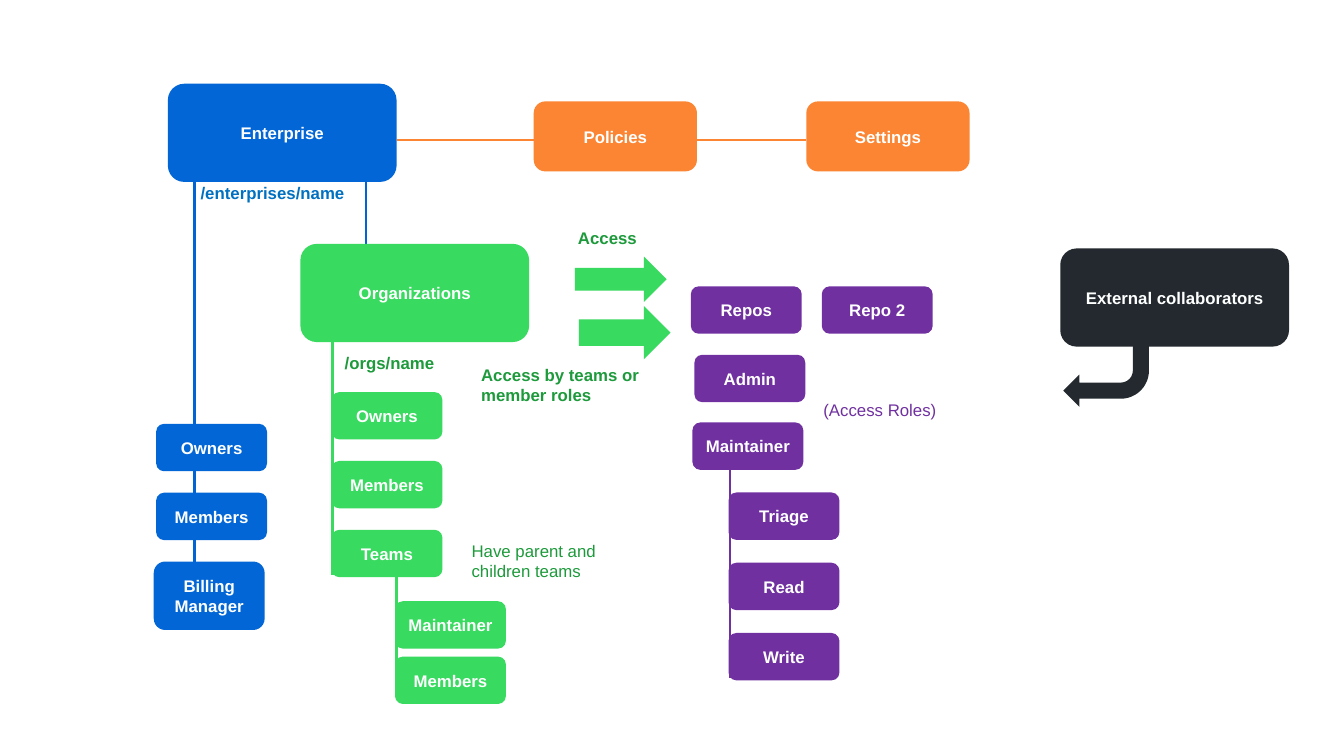
import dataclasses

import lxml.etree
import pptx
import pptx.dml.color
import pptx.enum.shapes
import pptx.enum.text
import pptx.oxml.ns
import pptx.util

Cm = pptx.util.Cm
Shapes = pptx.enum.shapes.MSO_SHAPE


@dataclasses.dataclass(frozen=True)
class Theme:
    """Colours, type and standard node sizes in centimetres."""
    white: str = "FEFFFF"
    blue: str = "0366D6"
    blue_line: str = "0064D4"
    blue_text: str = "0070C0"
    green: str = "38DA5F"
    green_text: str = "1D9A3B"
    orange: str = "FB8532"
    purple: str = "7030A0"
    dark: str = "23292E"
    font: str = "Arial"
    text_size: float = 24
    line_width: float = 3.75
    large: tuple = (11.53, 4.95)
    medium: tuple = (8.23, 3.53)
    small: tuple = (5.59, 2.39)
    tall: tuple = (5.59, 3.45)


@dataclasses.dataclass(frozen=True)
class Box:
    """A rectangle in centimetres."""
    left: float
    top: float
    width: float
    height: float

    def inner(self, x, y, size):
        """Return a box of the given size, offset from this one."""
        return Box(self.left + x, self.top + y, *size)

    def lengths(self):
        """Return left, top, width and height as slide lengths."""
        return [Cm(value) for value in dataclasses.astuple(self)]


THEME = Theme()


def rgb(colour):
    """Turn a hex string into a colour."""
    return pptx.dml.color.RGBColor.from_string(colour)


def write(shape, text, colour, bold=True):
    """Put one styled run into a shape and return its paragraph."""
    shape.text_frame.word_wrap = True
    para = shape.text_frame.paragraphs[0]
    span = para.add_run()
    span.text = text
    span.font.name = THEME.font
    span.font.size = pptx.util.Pt(THEME.text_size)
    span.font.bold = bold
    span.font.color.rgb = rgb(colour)
    return para


def add_solid(page, kind, box, colour):
    """Add a flat filled shape."""
    shape = page.shapes.add_shape(kind, *box.lengths())
    shape.shadow.inherit = False
    shape.fill.solid()
    shape.fill.fore_color.rgb = rgb(colour)
    shape.line.fill.background()
    return shape


def add_node(page, box, text, colour):
    """Add a rounded box with a centred name."""
    node = add_solid(page, Shapes.ROUNDED_RECTANGLE, box, colour)
    node.text_frame.vertical_anchor = pptx.enum.text.MSO_ANCHOR.MIDDLE
    para = write(node, text, THEME.white)
    para.alignment = pptx.enum.text.PP_ALIGN.CENTER


def add_column(page, box, x, y, step, names, colour):
    """Add small nodes one below the other at an even step."""
    for row, name in enumerate(names):
        add_node(page, box.inner(x, y + row * step, THEME.small), name, colour)


def add_label(page, box, text, colour, bold=True):
    """Add free text."""
    label = page.shapes.add_textbox(*box.lengths())
    write(label, text, colour, bold)
    label.text_frame.auto_size = pptx.enum.text.MSO_AUTO_SIZE.SHAPE_TO_FIT_TEXT


def add_line(page, box, start, end, colour):
    """Add a straight line between two points inside a box."""
    points = [Cm(value) for x, y in (start, end) for value in (box.left + x, box.top + y)]
    line = page.shapes.add_connector(pptx.enum.shapes.MSO_CONNECTOR.STRAIGHT, *points)
    line.line.color.rgb = rgb(colour)
    line.line.width = pptx.util.Pt(THEME.line_width)
    lxml.etree.SubElement(line._element.spPr, pptx.oxml.ns.qn("a:effectLst"))


def add_governance(page, box):
    """Draw policies and settings, chained from the enterprise."""
    edge = 0
    for name, x in (("Policies", 6.91), ("Settings", box.width - THEME.medium[0])):
        add_line(page, box, (edge, 1.95), (x, 1.95), THEME.orange)
        add_node(page, box.inner(x, 0, THEME.medium), name, THEME.orange)
        edge = x + THEME.medium[0]


def add_enterprise(page, box):
    """Draw the enterprise and its roles."""
    for x, bottom in ((2.05, 24.71), (10.69, 8.07)):
        add_line(page, box, (x, 4.9), (x, bottom), THEME.blue_line)
    add_node(page, box.inner(0.71, 0, THEME.large), "Enterprise", THEME.blue)
    add_label(page, box.inner(2.11, 4.85, (11.1, 1.27)), "/enterprises/name", THEME.blue_text)
    add_column(page, box, 0.12, 17.14, 3.47, ("Owners", "Members"), THEME.blue)
    billing = box.inner(0, box.height - THEME.tall[1], THEME.tall)
    add_node(page, billing, "Billing Manager", THEME.blue)


def add_organization(page, box):
    """Draw the organizations with their roles and teams."""
    for x, top, bottom in ((1.62, 4.5, 16.69), (4.85, 16.41, 22.81)):
        add_line(page, box, (x, top), (x, bottom), THEME.green)
    add_node(page, box.inner(0, 0, THEME.large), "Organizations", THEME.green)
    add_label(page, box.inner(1.98, 5.34, (11.1, 1.27)), "/orgs/name", THEME.green_text)
    add_column(page, box, 1.57, 7.47, 3.47, ("Owners", "Members", "Teams"), THEME.green)
    add_column(page, box, 4.77, 18.01, 2.79, ("Maintainer", "Members"), THEME.green)
    note = box.inner(8.38, 14.84, (9.73, 2.31))
    add_label(page, note, "Have parent and children teams", THEME.green_text, False)


def add_access(page, box):
    """Draw the two access arrows and their captions."""
    add_label(page, box.inner(4.88, 0, (6.73, 1.27)), "Access", THEME.green_text)
    for x, y, height in ((4.98, 1.58, 2.29), (5.18, 4.07, 2.69)):
        add_solid(page, Shapes.RIGHT_ARROW, box.inner(x, y, (4.62, height)), THEME.green)
    caption = box.inner(0, 6.89, (8.74, 2.31))
    add_label(page, caption, "Access by teams or member roles", THEME.green_text)


def add_repos(page, box):
    """Draw the repos and their access roles."""
    add_line(page, box, (1.98, 9.27), (1.98, 19.73), THEME.purple)
    places = (("Repos", 0, 0), ("Repo 2", 6.6, 0), ("Admin", 0.18, 3.45), ("Maintainer", 0.08, 6.86))
    for name, x, y in places:
        add_node(page, box.inner(x, y, THEME.small), name, THEME.purple)
    add_column(page, box, 1.9, 10.39, 3.54, ("Triage", "Read", "Write"), THEME.purple)
    add_label(page, box.inner(6.43, 5.61, (6.86, 1.27)), "(Access Roles)", THEME.purple, False)


def add_external(page, box):
    """Draw the external collaborators and their arrow."""
    arrow = add_solid(page, Shapes.BENT_ARROW, box.inner(0.15, 4.73, (4.32, 3.25)), THEME.dark)
    arrow.rotation = 180
    add_node(page, box.inner(0, 0, THEME.large), "External collaborators", THEME.dark)


def main():
    """Build and save the deck."""
    deck = pptx.Presentation()
    deck.slide_width, deck.slide_height = Cm(67.74), Cm(38.1)
    page = deck.slides.add_slide(deck.slide_layouts[6])
    add_governance(page, Box(19.99, 5.11, 28.88, 3.53))
    add_enterprise(page, Box(7.75, 4.22, 12.24, 27.53))
    add_organization(page, Box(15.14, 12.29, 18.11, 23.19))
    add_access(page, Box(24, 11.35, 11.61, 9.2))
    add_repos(page, Box(34.82, 14.43, 13.29, 19.86))
    add_external(page, Box(53.44, 12.52, 11.53, 7.98))
    deck.save("out.pptx")


if __name__ == "__main__":
    main()
